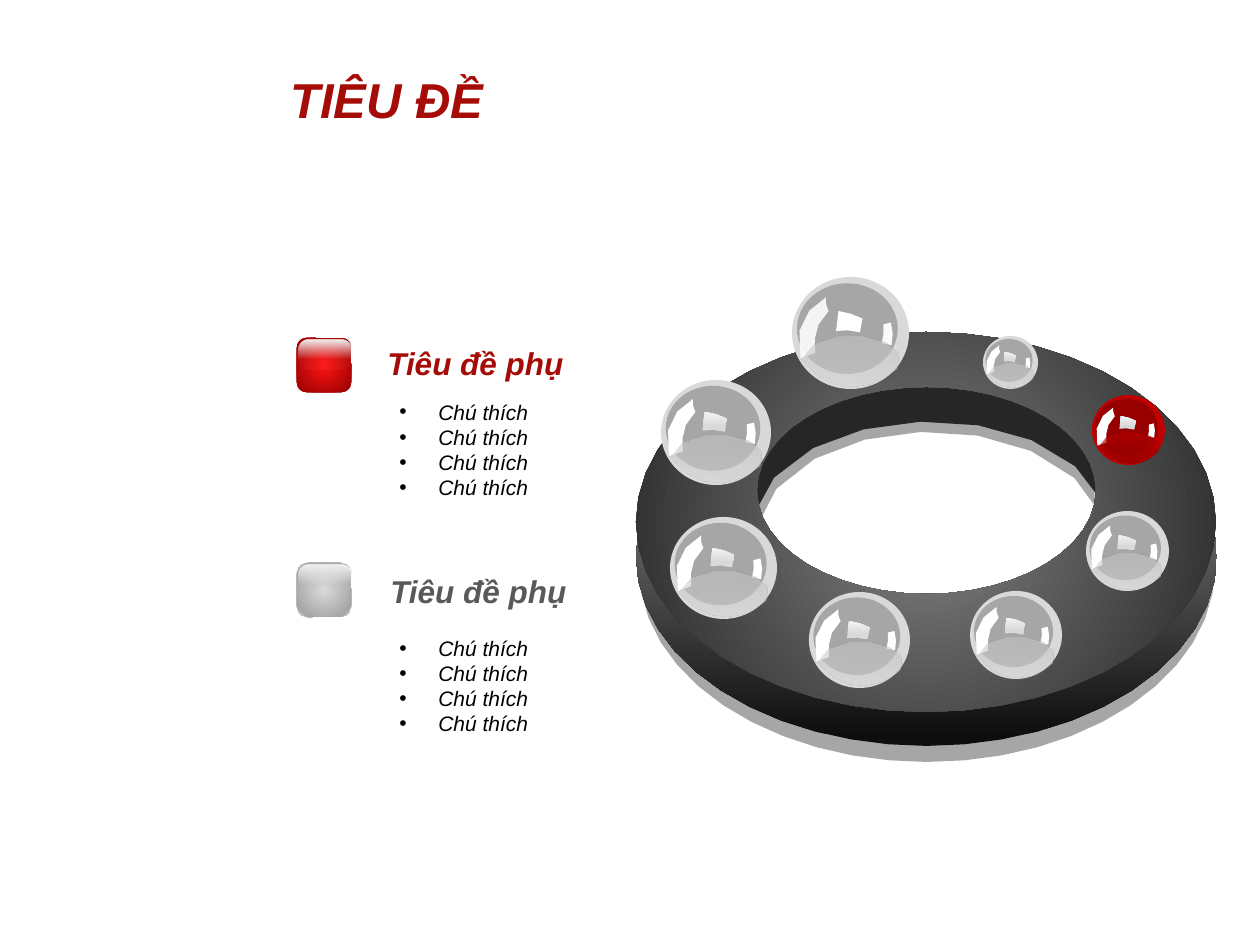
import math
from dataclasses import dataclass, replace

from lxml import etree
from pptx import Presentation
from pptx.dml.color import RGBColor
from pptx.enum import shapes
from pptx.oxml.ns import qn
from pptx.util import Pt

EMU_PER_PIXEL = 914400 / 126
ELLIPSE_STEPS = 48


def emu(pixels):
    return round(pixels * EMU_PER_PIXEL)


@dataclass(frozen=True)
class Solid:
    color: str
    alpha: int = 100


@dataclass(frozen=True)
class Gradient:
    stops: tuple  # (position, colour, alpha) in percent
    angle: int = None  # None gives a circular gradient


@dataclass(frozen=True)
class BallStyle:
    body: Solid
    core: Solid
    pool: Gradient
    glint: object = Gradient(((26, "D9D9D9", 100), (98, "F2F2F2", 100)), 270)
    crescent: Solid = Solid("FFFFFF")
    edge: Solid = Solid("FFFFFF")


class Theme:
    font = "Arial"
    title_size, heading_size, note_size = 28, 18, 12
    accent, muted, body = "A50C07", "595959", "000000"
    shadow, far_shadow, wall = Solid("A6A6A6"), Solid("C7C7C7"), Solid("262626")
    side = Gradient(((2, "0D0D0D", 100), (99, "A6A6A6", 100)), 270)
    top = Gradient(((0, "808080", 100), (100, "262626", 100)))
    gloss = Gradient(((0, "F2F2F2", 100), (65, "FFFFFF", 3)), 90)
    red_button = Gradient(((0, "FF1515", 100), (100, "960000", 100)))
    gray_button = Gradient(((0, "D9D9D9", 100), (81, "A6A6A6", 100), (86, "BFBFBF", 100)))
    gray_ball = BallStyle(Solid("D9D9D9"), Solid("A6A6A6"),
                          Gradient(((0, "D9D9D9", 45), (98, "BFBFBF", 63)), 270))
    bright_ball = replace(gray_ball, glint=Solid("FFFFFF"),
                          crescent=Solid("FFFFFF", 88), edge=Solid("FFFFFF", 95))
    red_ball = BallStyle(Solid("C00000"), Solid("960000"),
                         Gradient(((1, "820000", 65), (100, "C00000", 62)), 270))


def trace(steps, start, *segments):
    """Flatten segments of one point (line) or three points (cubic curve)."""
    points = [start]
    for segment in segments:
        if len(segment) == 1:
            points.append(segment[0])
            continue
        corners = (points[-1], *segment)
        for step in range(1, steps + 1):
            t = step / steps
            weights = ((1 - t) ** 3, 3 * t * (1 - t) ** 2, 3 * t * t * (1 - t), t ** 3)
            points.append(tuple(sum(w * corner[axis] for w, corner in zip(weights, corners))
                                for axis in (0, 1)))
    return points


def ellipse(left, top, width, height):
    angles = (2 * math.pi * step / ELLIPSE_STEPS for step in range(ELLIPSE_STEPS))
    return [(left + width / 2 * (1 + math.cos(a)), top + height / 2 * (1 + math.sin(a)))
            for a in angles]


# Ball parts, drawn on a design box of 93 by 89
BALL_BOX = (93, 89)
BALL_CORE = (4, 5, 80, 72)
CRESCENT = trace(3, (20, 14), ((21, 20), (23, 21), (25, 24)), ((17, 37), (20, 49), (24, 59)),
                 ((14, 66),), ((1, 44), (8, 26), (20, 14)))
GLINT = trace(2, (37, 27), ((44, 28), (50, 30), (56, 33)), ((54, 44),),
              ((47, 42), (41, 42), (35, 43)))
EDGE = trace(2, (72, 38), ((78, 36),), ((80, 42), (81, 47), (80, 54)), ((72, 53),),
             ((73, 48), (73, 44), (72, 38)))
POOL = trace(6, (8, 69), ((16, 36), (99, 42), (84, 70)), ((69, 86), (37, 99), (8, 69)))


class Painter:
    def __init__(self, slide, theme):
        self.slide, self.theme = slide, theme
        self.shapes = slide.shapes

    def start_group(self):
        self.shapes = self.slide.shapes.add_group_shape().shapes

    def end_group(self):
        self.shapes = self.slide.shapes

    def paint(self, shape, fill):
        shape.shadow.inherit = False
        shape.line.fill.background()
        if isinstance(fill, Solid):
            shape.fill.solid()
            shape.fill.fore_color.rgb = RGBColor.from_string(fill.color)
            if fill.alpha < 100:
                color = shape.element.spPr.find(qn("a:solidFill"))[0]
                etree.SubElement(color, qn("a:alpha"), val=str(fill.alpha * 1000))
            return
        shape.fill.gradient()
        gradient = shape.element.spPr.find(qn("a:gradFill"))
        for child in list(gradient):
            gradient.remove(child)
        stops = etree.SubElement(gradient, qn("a:gsLst"))
        for position, color, alpha in fill.stops:
            stop = etree.SubElement(stops, qn("a:gs"), pos=str(position * 1000))
            value = etree.SubElement(stop, qn("a:srgbClr"), val=color)
            if alpha < 100:
                etree.SubElement(value, qn("a:alpha"), val=str(alpha * 1000))
        if fill.angle is None:
            circle = etree.SubElement(gradient, qn("a:path"), path="circle")
            etree.SubElement(circle, qn("a:fillToRect"), l="50000", t="50000", r="50000", b="50000")
        else:
            etree.SubElement(gradient, qn("a:lin"), ang=str(fill.angle * 60000), scaled="0")

    def preset(self, kind, box, fill, adjustment=None):
        shape = self.shapes.add_shape(kind, *map(emu, box))
        if adjustment is not None:
            shape.adjustments[0] = adjustment
        self.paint(shape, fill)

    def outline(self, contours, fill, rotation=0):
        contours = [[(emu(x), emu(y)) for x, y in contour] for contour in contours]
        builder = self.shapes.build_freeform(*contours[0][0], scale=1.0)
        for index, contour in enumerate(contours):
            if index:
                builder.move_to(*contour[0])
            builder.add_line_segments(contour[1:], close=True)
        shape = builder.convert_to_shape()
        shape.rotation = rotation
        self.paint(shape, fill)

    def ball(self, box, style):
        left, top, width, height = box
        across, down = width / BALL_BOX[0], height / BALL_BOX[1]
        x, y, core_width, core_height = BALL_CORE
        oval = shapes.MSO_SHAPE.OVAL
        self.preset(oval, box, style.body)
        self.preset(oval, (left + x * across, top + y * down,
                           core_width * across, core_height * down), style.core)
        for part, fill, rotation in ((CRESCENT, style.crescent, 16.1), (GLINT, style.glint, 0),
                                     (EDGE, style.edge, 4.6), (POOL, style.pool, 4.6)):
            placed = [(left + px * across, top + py * down) for px, py in part]
            self.outline([placed], fill, rotation)

    def button(self, left, top, fill):
        rounded = shapes.MSO_SHAPE.ROUNDED_RECTANGLE
        self.preset(rounded, (left, top, 54, 54), fill)
        self.preset(rounded, (left + 2, top + 2, 52, 29), self.theme.gloss, 0.33)

    def text(self, box, lines, size, color, bold=False, bullet_indent=0):
        frame = self.shapes.add_textbox(*map(emu, box)).text_frame
        frame.word_wrap = True
        frame.text = "\n".join(lines)
        for paragraph in frame.paragraphs:
            font = paragraph.runs[0].font
            font.name, font.size = self.theme.font, Pt(size)
            font.bold, font.italic = bold, True
            font.color.rgb = RGBColor.from_string(color)
            if bullet_indent:
                properties = paragraph._p.get_or_add_pPr()
                properties.set("marL", str(emu(bullet_indent)))
                properties.set("indent", str(-emu(bullet_indent)))
                etree.SubElement(properties, qn("a:buFont"), typeface=self.theme.font)
                etree.SubElement(properties, qn("a:buChar"), char="•")


presentation = Presentation()
presentation.slide_width, presentation.slide_height = emu(1260), emu(945)
slide = presentation.slides.add_slide(presentation.slide_layouts[6])
theme = Theme()
painter = Painter(slide, theme)

# Ring: shadow layers first, then the solid body
shadow_wall = trace(8, (755, 410), ((844, 375), (1071, 323), (1103, 517)),
                    ((1051, 397), (785, 406), (755, 530)), ((757, 494), (752, 446), (755, 410)))
inner_wall = trace(8, (753, 401), ((843, 367), (1072, 315), (1104, 504)),
                   ((1052, 388), (784, 396), (752, 518)), ((756, 483), (750, 436), (753, 401)))
painter.start_group()
for contours, fill in (
    ([shadow_wall], theme.shadow),
    ([ellipse(726, 375, 402, 252), ellipse(639, 375, 576, 387)], theme.shadow),
    ([ellipse(759, 396, 336, 212), ellipse(639, 340, 576, 388)], theme.far_shadow),
    ([inner_wall], theme.wall),
    ([ellipse(725, 367, 404, 247), ellipse(636, 367, 581, 379)], theme.side),
    ([ellipse(757, 387, 339, 207), ellipse(636, 332, 580, 380)], theme.top),
):
    painter.outline(contours, fill)

# Balls around the ring
for box, style in (
    ((661, 380, 110, 105), theme.gray_ball), ((792, 277, 117, 112), theme.bright_ball),
    ((670, 517, 107, 102), theme.gray_ball), ((809, 592, 101, 96), theme.gray_ball),
    ((970, 591, 92, 88), theme.gray_ball), ((1086, 511, 83, 80), theme.gray_ball),
    ((1092, 395, 73, 70), theme.red_ball), ((983, 336, 55, 53), theme.gray_ball),
):
    painter.ball(box, style)

# Legend: button, heading and notes
for button_top, fill, heading_left, heading_top, color, notes_top in (
    (338, theme.red_button, 375, 338, theme.accent, 393),
    (563, theme.gray_button, 378, 566, theme.muted, 629),
):
    painter.start_group()
    painter.button(297, button_top, fill)
    painter.text((heading_left, heading_top, 275, 50), ["Tiêu đề phụ"],
                 theme.heading_size, color, bold=True)
    painter.text((387, notes_top, 251, 115), ["Chú thích"] * 4,
                 theme.note_size, theme.body, bullet_indent=39)
painter.end_group()

# Title
painter.text((278, 63, 234, 72), ["TIÊU ĐỀ"], theme.title_size, theme.accent, bold=True)

presentation.save("out.pptx")
